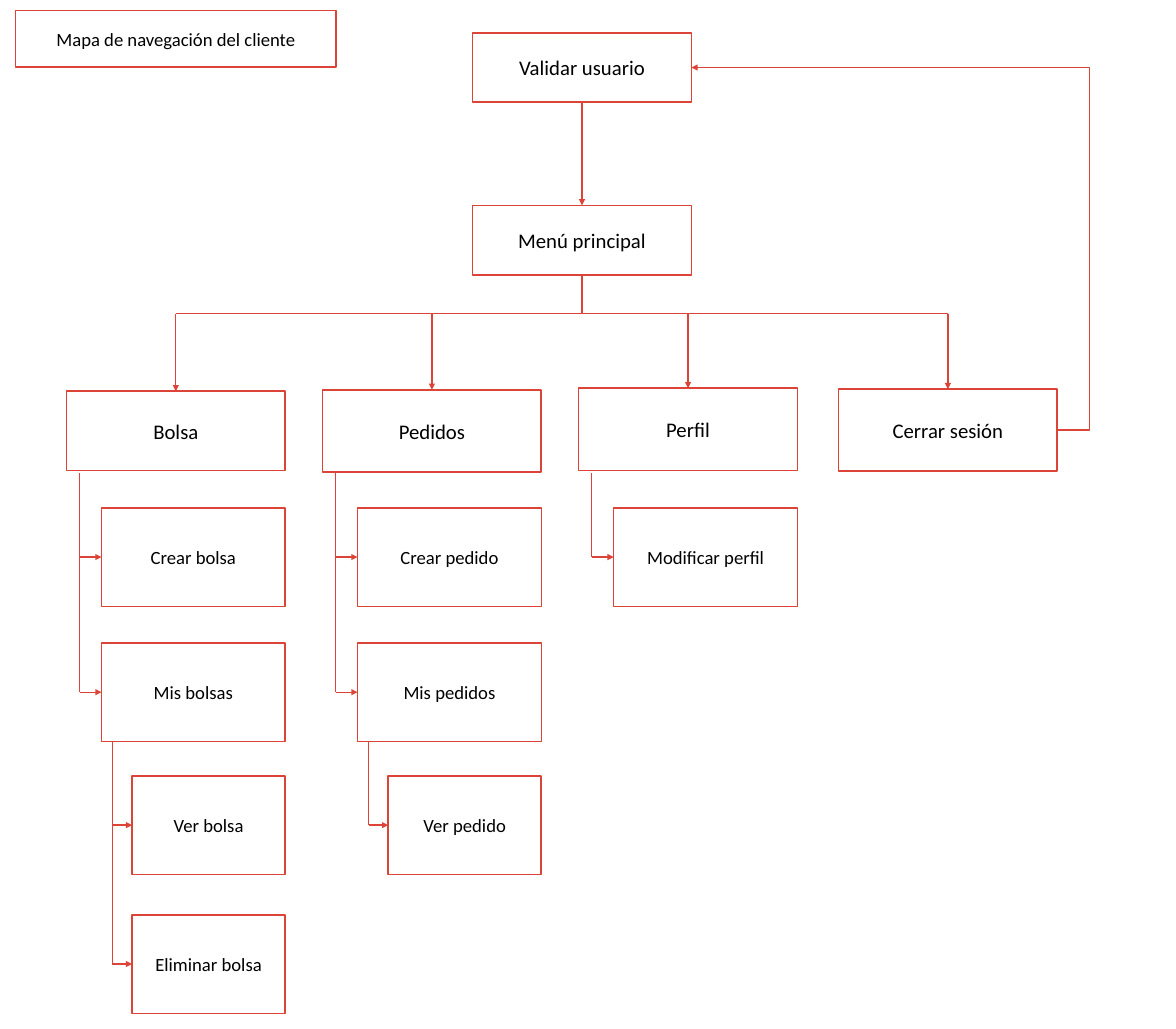
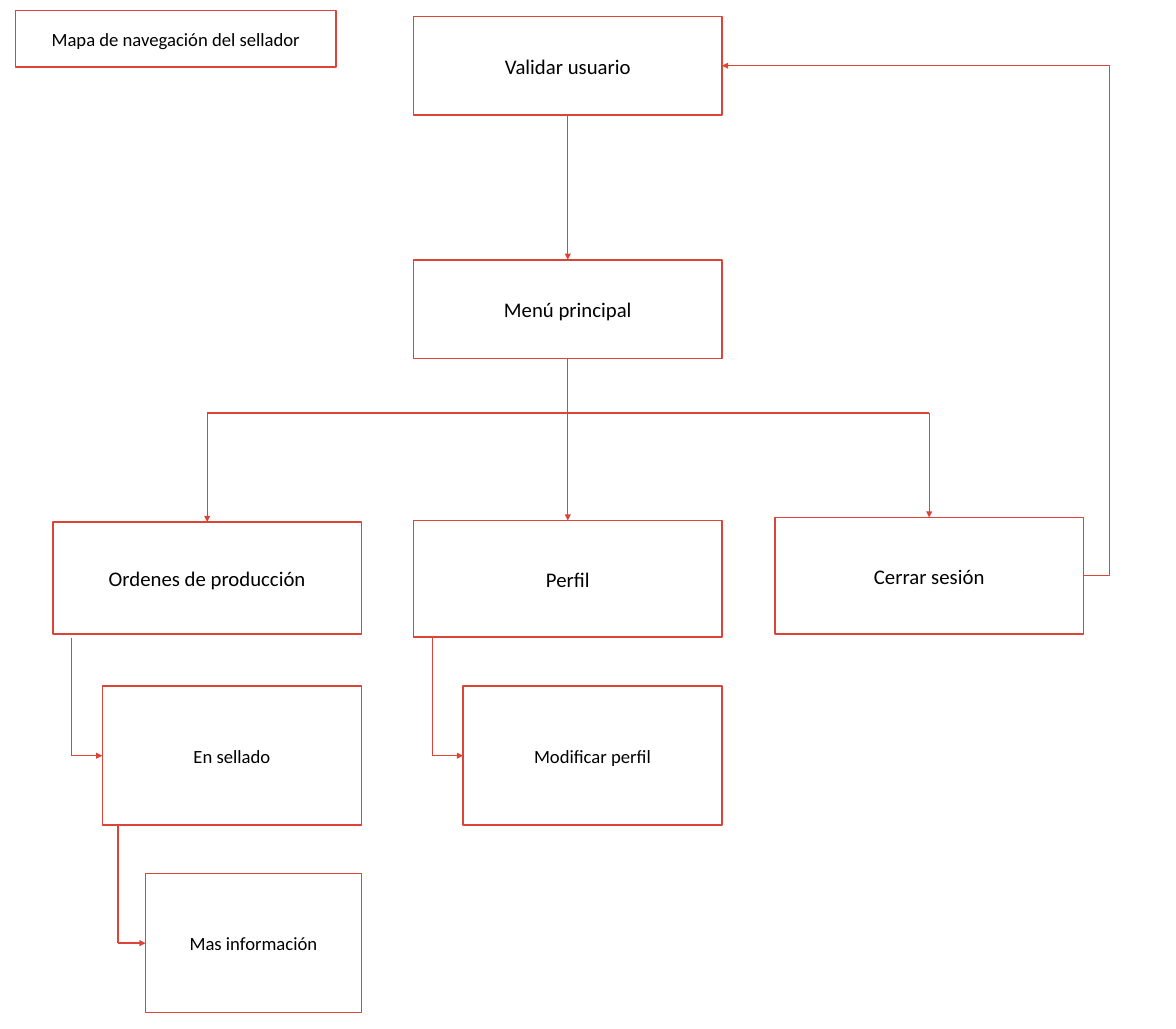
from dataclasses import dataclass
from itertools import groupby
from typing import NamedTuple

from lxml.etree import SubElement
from pptx import Presentation
from pptx.dml.color import RGBColor
from pptx.enum.shapes import MSO_CONNECTOR, MSO_SHAPE
from pptx.enum.text import MSO_ANCHOR, MSO_AUTO_SIZE, PP_ALIGN
from pptx.oxml.ns import qn
from pptx.util import Inches, Pt


# Shared look; all lengths are in grid cells of one inch
@dataclass(frozen=True)
class Theme:
    cell: int = Inches(1)
    cols: float = 15.75
    rows: float = 13.78
    red: RGBColor = RGBColor(0xDC, 0x44, 0x37)
    ink: RGBColor = RGBColor(0, 0, 0)
    font: str = "Calibri"
    big: int = 20
    small: int = 18
    frame: float = 1.5
    wire: float = 1.25
    shares: tuple = (1, 0.84, 0.7)  # box width by level
    trunk: float = 0.06  # trunk inset, share of the parent's width


class Box(NamedTuple):
    x: float
    y: float
    w: float
    h: float

    @property
    def right(self):
        return self.x + self.w

    @property
    def base(self):
        return self.y + self.h

    @property
    def midx(self):
        return self.x + self.w / 2

    @property
    def midy(self):
        return self.y + self.h / 2

    def inner(self, x, y, w, h):
        return Box(self.x + x, self.y + y, w, h)


class Head(NamedTuple):
    text: str
    x: float
    y: float
    h: float
    kids: tuple = ()  # pairs of level and text


# Places in a map are relative to its area
@dataclass(frozen=True)
class Map:
    title: str
    area: Box
    node: tuple  # width and height of the two top boxes
    root: float
    menu: float
    bar: float
    floor: float
    kid: float  # height of the lower boxes
    rows: tuple  # tops of the lower boxes
    heads: tuple


T = Theme()
LABEL = Box(0.21, 0.14, 4.29, 0.76)
START, MENU, EXIT = "Validar usuario", "Menú principal", "Cerrar sesión"
TOP, LEFT, BOTTOM, RIGHT = range(4)  # connection sites of a rectangle

MAPS = (
    Map("Mapa de navegación del cliente", Box(0.89, 0.44, 13.7, 13.13),
        node=(2.93, 0.93), root=5.44, menu=2.31, bar=3.76, floor=5.9,
        kid=1.32, rows=(6.36, 8.17, 9.95, 11.81),
        heads=(
            Head("Bolsa", 0, 4.8, 1.06, (
                (1, "Crear bolsa"), (1, "Mis bolsas"),
                (2, "Ver bolsa"), (2, "Eliminar bolsa"))),
            Head("Pedidos", 3.43, 4.78, 1.1, (
                (1, "Crear pedido"), (1, "Mis pedidos"), (2, "Ver pedido"))),
            Head("Perfil", 6.86, 4.76, 1.1, ((1, "Modificar perfil"),)),
            Head(EXIT, 10.34, 4.77, 1.1))),
    Map("Mapa de navegación del sellador", Box(0.71, 0.22, 14.15, 13.34),
        node=(4.13, 1.32), root=4.83, menu=3.26, bar=5.31, floor=8.33,
        kid=1.86, rows=(8.97, 11.48),
        heads=(
            Head("Ordenes de producción", 0, 6.77, 1.5, (
                (1, "En sellado"), (2, "Mas información"))),
            Head("Perfil", 4.83, 6.75, 1.56, ((1, "Modificar perfil"),)),
            Head(EXIT, 9.67, 6.71, 1.56))),
)


def emu(*cells):
    return [round(c * T.cell) for c in cells]


def style(shape, text, size):
    """Red frame with centred text."""
    shape.fill.background()
    shape.line.color.rgb = T.red
    shape.line.width = Pt(T.frame)
    frame = shape.text_frame
    frame.text = text
    frame.word_wrap = True
    frame.auto_size = MSO_AUTO_SIZE.NONE
    frame.vertical_anchor = MSO_ANCHOR.MIDDLE
    frame.margin_left = frame.margin_right = Inches(0.06)
    frame.margin_top = frame.margin_bottom = Inches(0.03)
    para = frame.paragraphs[0]
    para.alignment = PP_ALIGN.CENTER
    para.font.name = T.font
    para.font.size = Pt(size)
    para.font.color.rgb = T.ink


def block(slide, box, text, size):
    shape = slide.shapes.add_shape(MSO_SHAPE.RECTANGLE, *emu(*box))
    shape.shadow.inherit = False
    style(shape, text, size)
    return shape


def wire(slide, start, end, arrow=False, kind=MSO_CONNECTOR.STRAIGHT):
    line = slide.shapes.add_connector(kind, *emu(*start, *end))
    line.line.color.rgb = T.red
    line.line.width = Pt(T.wire)
    props = line._element.spPr
    if arrow:
        SubElement(props.find(qn("a:ln")), qn("a:tailEnd"), type="triangle")
    SubElement(props, qn("a:effectLst"))
    return line


def link(line, first, site, last, goal):
    line.begin_connect(first, site)
    line.end_connect(last, goal)


def label(slide, box, text):
    title = slide.shapes.title
    title.left, title.top, title.width, title.height = emu(*box)
    style(title, text, T.small)


def branch(slide, area, plan, head, parent):
    """Lower boxes of one head, flush with its right edge."""
    edge, width = parent.right, parent.w
    tops = iter(plan.rows)
    for level, group in groupby(head.kids, key=lambda kid: kid[0]):
        stem = parent.x + T.trunk * parent.w
        start = max(parent.base, area.y + plan.floor)
        wide = T.shares[level] * width
        for _, text in group:
            box = Box(edge - wide, area.y + next(tops), wide, plan.kid)
            block(slide, box, text, T.small)
            wire(slide, (stem, box.midy), (box.x, box.midy), True)
        wire(slide, (stem, start), (stem, box.midy))
        parent = box


def loop(slide, area, first, last, start, end):
    """Way back from the exit to the start, along the area's right edge."""
    line = wire(slide, (first.right, first.midy), (last.right, last.midy),
                True, MSO_CONNECTOR.ELBOW)
    link(line, start, RIGHT, end, RIGHT)
    bend = (area.right - first.right) / (first.right - last.right)
    guides = line._element.spPr.find(qn("a:prstGeom")).get_or_add_avLst()
    SubElement(guides, qn("a:gd"), name="adj1",
               fmla=f"val {round(-bend * 100000)}")


def tree(slide, area, plan):
    # Start and menu
    root = area.inner(plan.root, 0, *plan.node)
    menu = area.inner(plan.root, plan.menu, *plan.node)
    first = block(slide, root, START, T.big)
    second = block(slide, menu, MENU, T.big)
    drop = wire(slide, (root.midx, root.base), (menu.midx, menu.y), True)
    link(drop, first, BOTTOM, second, TOP)

    # Heads, each with its arrow and branch
    bar = area.y + plan.bar
    boxes = [area.inner(h.x, h.y, plan.node[0], h.h) for h in plan.heads]
    for head, box in zip(plan.heads, boxes):
        shape = block(slide, box, head.text, T.big)
        wire(slide, (box.midx, bar), (box.midx, box.y), True)
        branch(slide, area, plan, head, box)

    # Bar under the menu, and the way back from the last head
    wire(slide, (menu.midx, menu.base), (menu.midx, bar))
    wire(slide, (boxes[0].midx, bar), (boxes[-1].midx, bar))
    loop(slide, area, boxes[-1], root, shape, first)


deck = Presentation()
deck.slide_width, deck.slide_height = emu(T.cols, T.rows)
for plan in MAPS:
    slide = deck.slides.add_slide(deck.slide_layouts[5])
    label(slide, LABEL, plan.title)
    tree(slide, plan.area, plan)
deck.save("out.pptx")
